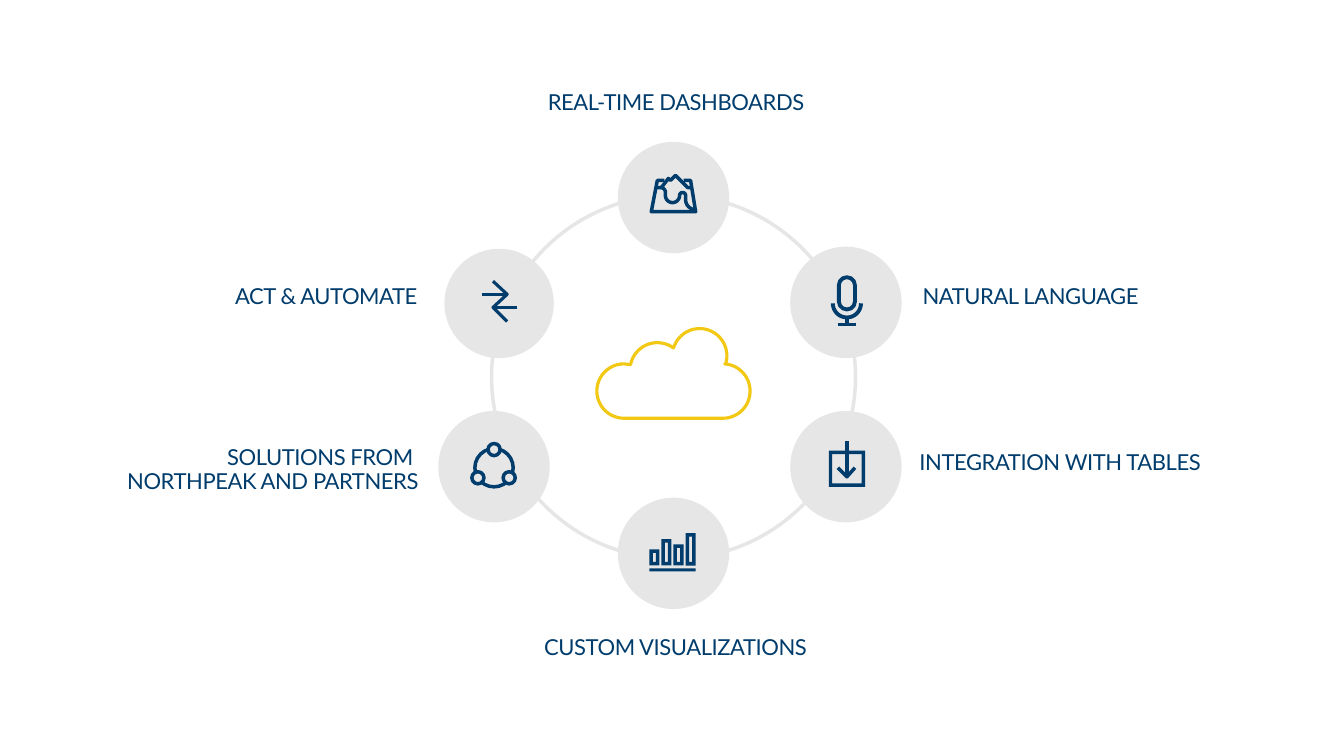
from math import cos, radians, sin

from lxml import etree
from pptx import Presentation
from pptx.dml.color import RGBColor
from pptx.enum.shapes import MSO_CONNECTOR, MSO_SHAPE
from pptx.enum.text import MSO_AUTO_SIZE, PP_ALIGN
from pptx.oxml.ns import qn
from pptx.util import Inches, Pt

LEFT, MID, RIGHT = PP_ALIGN.LEFT, PP_ALIGN.CENTER, PP_ALIGN.RIGHT
OVAL, RECT, FRAME = MSO_SHAPE.OVAL, MSO_SHAPE.RECTANGLE, MSO_SHAPE.FRAME
PILL = MSO_SHAPE.ROUNDED_RECTANGLE
LINE = MSO_CONNECTOR.STRAIGHT
FIT = MSO_AUTO_SIZE.SHAPE_TO_FIT_TEXT
HUES = {"navy": "003C6C", "gold": "F2C812", "disc": "E7E6E6", "ring": "E6E6E6"}
LABELS = [
    (1.18, 2.71, 3.16, 0.55, RIGHT, ["ACT & AUTOMATE"]),
    (8.95, 2.71, 2.81, 0.55, LEFT, ["NATURAL LANGUAGE"]),
    (4.94, 0.79, 3.53, 0.55, MID, ["REAL-TIME DASHBOARDS"]),
    (8.92, 4.36, 3.37, 0.55, LEFT, ["INTEGRATION WITH TABLES"]),
    (4.93, 6.2, 3.54, 0.55, MID, ["CUSTOM VISUALIZATIONS"]),
    (0.4, 4.27, 3.95, 0.79, RIGHT, ["SOLUTIONS FROM ", "NORTHPEAK AND PARTNERS"]),
]
DISCS = [(6.68, 1.96, 1.07), (8.39, 3, 1.07), (8.39, 4.63, 1.07),
         (6.68, 5.49, 1.07), (4.9, 4.63, 1.07), (4.95, 3.01, 1.05)]


def tint(name):
    """Return the named colour."""
    return RGBColor.from_string(HUES[name])


def style(shape, fill=None, line=None, width=2.5):
    """Set the fill and line of a shape and drop its shadow."""
    shape.shadow.inherit = False
    if fill:
        shape.fill.solid()
        shape.fill.fore_color.rgb = tint(fill)
    else:
        shape.fill.background()
    if line:
        shape.line.color.rgb = tint(line)
        shape.line.width = Pt(width)
    else:
        shape.line.fill.background()


def block(slide, kind, left, top, wide, high, **look):
    """Add a styled preset shape."""
    shape = slide.shapes.add_shape(
        kind, Inches(left), Inches(top), Inches(wide), Inches(high))
    style(shape, **look)
    return shape


def disc(slide, x, y, size, **look):
    """Add a circle around a centre."""
    block(slide, OVAL, x - size / 2, y - size / 2, size, size, **look)


def frame(slide, left, top, wide, high):
    """Add a navy frame with an even border."""
    shape = block(slide, FRAME, left, top, wide, high, fill="navy")
    shape.adjustments[0] = 0.035 / min(wide, high)


def stroke(slide, x1, y1, x2, y2, width=2.5):
    """Add a straight navy line."""
    line = slide.shapes.add_connector(
        LINE, Inches(x1), Inches(y1), Inches(x2), Inches(y2))
    line.line.color.rgb = tint("navy")
    line.line.width = Pt(width)
    etree.SubElement(line._element.spPr, qn("a:effectLst"))


def arc(x, y, size, start, end):
    """Return points on an arc, with angles clockwise from the right."""
    steps = 24
    turns = [radians(start + (end - start) * i / steps) for i in range(steps + 1)]
    return [(x + size * cos(t), y + size * sin(t)) for t in turns]


def trace(slide, points, hue="navy", width=2.5, close=False):
    """Add an unfilled outline through points."""
    spots = [(Inches(x), Inches(y)) for x, y in points]
    pen = slide.shapes.build_freeform(*spots[0])
    pen.add_line_segments(spots[1:], close=close)
    style(pen.convert_to_shape(), line=hue, width=width)


def label(slide, left, top, wide, high, align, lines):
    """Add a label of one or more lines."""
    box = slide.shapes.add_textbox(
        Inches(left), Inches(top), Inches(wide), Inches(high))
    frame = box.text_frame
    frame.word_wrap = True
    frame.auto_size = FIT
    frame.margin_left = frame.margin_right = Inches(0.2)
    frame.margin_top = frame.margin_bottom = Inches(0.16)
    para = frame.paragraphs[0]
    para.alignment = align
    para.line_spacing = 0.9
    para.space_after = Pt(5.9)
    for i, text in enumerate(lines):
        if i:
            para.add_line_break()
        run = para.add_run()
        run.text = text
        run.font.name = "Lato"
        run.font.size = Pt(15.7)
        run.font.color.rgb = tint("navy")
        run.font._element.set("spc", "-30")


def cloud(slide):
    """Draw the cloud in the middle."""
    points = (arc(6.19, 3.88, 0.27, 90, 270) + arc(6.52, 3.67, 0.27, 191, 306)
              + arc(6.94, 3.53, 0.27, 197, 378) + arc(7.17, 3.88, 0.27, 274, 450))
    trace(slide, points, "gold", 2.25, True)


def board(slide):
    """Draw the dashboard icon."""
    trace(slide, [(6.59, 1.79), (6.52, 1.79), (6.46, 2.1),
                  (6.9, 2.1), (6.85, 1.79), (6.78, 1.79)])
    trace(slide, [(6.51, 1.86), (6.56, 1.86), (6.63, 1.77), (6.65, 1.79),
                  (6.7, 1.74), (6.82, 1.86), (6.86, 1.86)])
    trace(slide, arc(6.55, 1.91, 0.05, 270, 360) + arc(6.67, 1.94, 0.07, 180, 0)
          + arc(6.77, 1.94, 0.03, 180, 360) + arc(6.9, 1.98, 0.1, 180, 90))


def mic(slide):
    """Draw the microphone icon."""
    pill = block(slide, PILL, 8.32, 2.75, 0.16, 0.32, line="navy", width=2.75)
    pill.adjustments[0] = 0.5
    trace(slide, arc(8.4, 3.01, 0.14, 0, 180), width=2.75)
    stroke(slide, 8.4, 3.15, 8.4, 3.22, 2.75)
    stroke(slide, 8.31, 3.22, 8.49, 3.22, 2.75)


def load(slide):
    """Draw the import icon."""
    frame(slide, 8.22, 4.47, 0.36, 0.36)
    stroke(slide, 8.4, 4.38, 8.4, 4.72)
    trace(slide, [(8.31, 4.64), (8.4, 4.73), (8.48, 4.64)])


def bars(slide):
    """Draw the bar chart icon."""
    for i, high in enumerate([0.16, 0.26, 0.21, 0.32]):
        frame(slide, 6.44 + 0.12 * i, 5.61 - high, 0.1, high)
    block(slide, RECT, 6.44, 5.64, 0.46, 0.03, fill="navy")


def share(slide):
    """Draw the linked partners icon."""
    disc(slide, 4.9, 4.64, 0.38, line="navy")
    for x, y in [(4.9, 4.46), (4.74, 4.74), (5.05, 4.74)]:
        disc(slide, x, y, 0.12, fill="disc", line="navy")


def swap(slide):
    """Draw the two arrows icon."""
    stroke(slide, 5.13, 3.05, 4.91, 3.05, 2.25)
    stroke(slide, 4.78, 2.92, 5.03, 2.92, 2.25)
    trace(slide, [(4.89, 2.79), (5.03, 2.92), (4.89, 3.05), (5.03, 3.19)], width=2.25)


def main():
    """Build and save the slide."""
    deck = Presentation()
    deck.slide_width, deck.slide_height = Inches(13.33), Inches(7.5)
    slide = deck.slides.add_slide(deck.slide_layouts[6])
    cloud(slide)
    for item in LABELS:
        label(slide, *item)
    disc(slide, 6.68, 3.74, 3.61, line="ring")
    for spot in DISCS:
        disc(slide, *spot, fill="disc", line="ring")
    for draw in (board, mic, load, bars, share, swap):
        draw(slide)
    deck.save("out.pptx")


if __name__ == "__main__":
    main()
